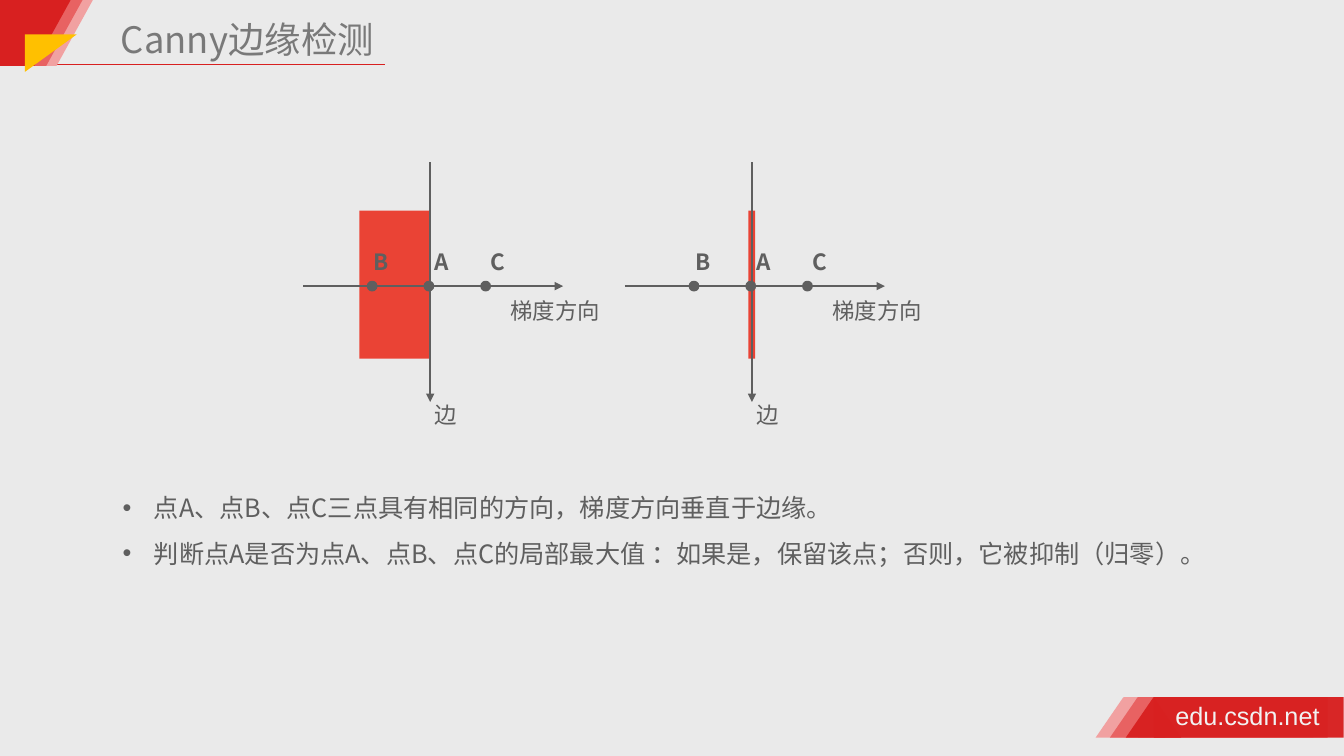
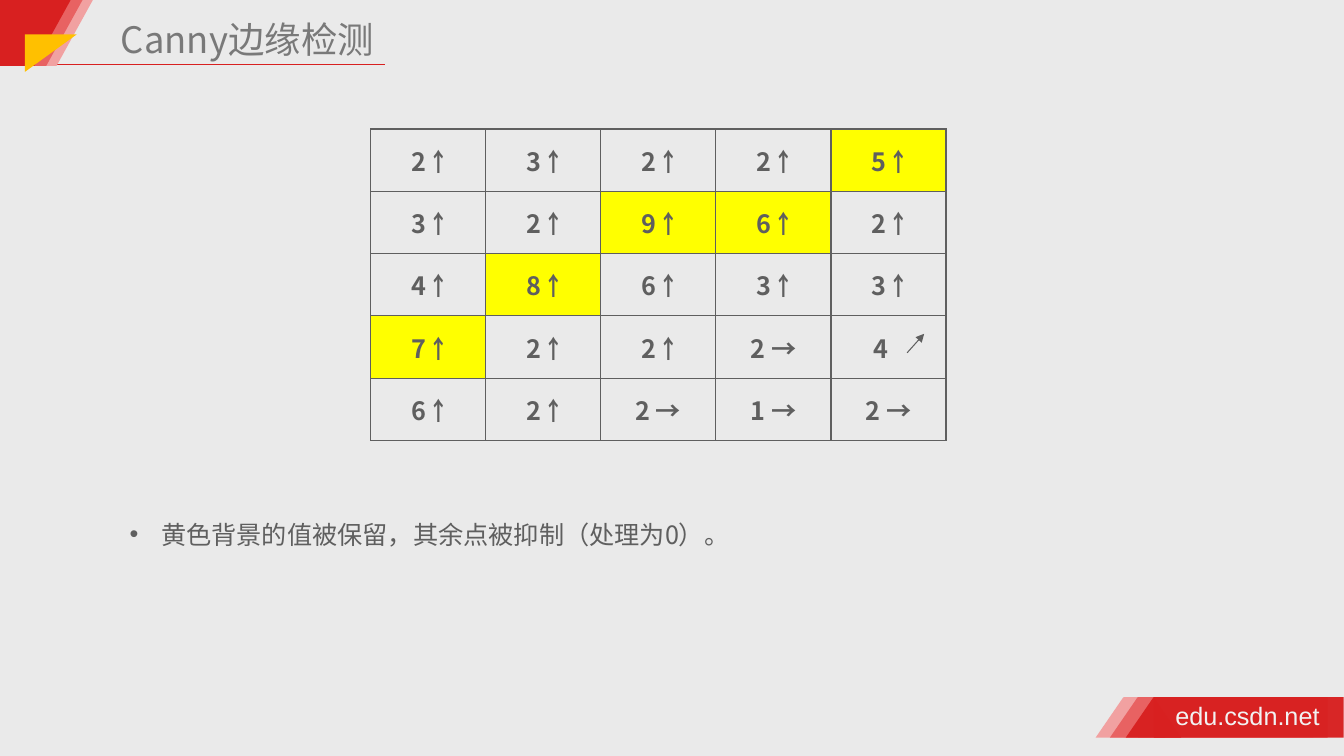
from dataclasses import dataclass

import pptx
import pptx.dml.color
import pptx.enum.shapes
import pptx.enum.text
import pptx.oxml
import pptx.oxml.ns
import pptx.oxml.xmlchemy
import pptx.util
from pptx.dml.color import RGBColor
from pptx.enum.shapes import MSO_CONNECTOR, MSO_SHAPE
from pptx.enum.text import MSO_ANCHOR, PP_ALIGN
from pptx.util import Cm

BACKGROUND = RGBColor(0xEA, 0xEA, 0xEA)
RED = RGBColor(0xD8, 0x20, 0x20)
MID_RED = RGBColor(0xE8, 0x62, 0x62)
PALE_RED = RGBColor(0xF1, 0xA1, 0xA1)
AMBER = RGBColor(0xFF, 0xC0, 0x00)
EDGE_RED = RGBColor(0xEA, 0x43, 0x35)
YELLOW = RGBColor(0xFF, 0xFF, 0x00)
TEXT = RGBColor(0x5F, 0x5F, 0x5F)
TITLE = RGBColor(0x79, 0x79, 0x79)
FOOTER = RGBColor(0xF2, 0xF2, 0xF2)

CJK = "Noto Sans CJK SC"
CJK_TABLE = "Noto Sans CJK JP"


@dataclass(frozen=True)
class Style:
    size: float
    color: RGBColor
    font: str = CJK
    bold: bool = False


@dataclass(frozen=True)
class Band:
    """A slanted stripe, drawn as a rectangle and a triangle."""
    corner_left: float
    footer_left: float
    color: RGBColor
    footer_alpha: int = 100


@dataclass(frozen=True)
class Label:
    text: str
    dx: float
    dy: float
    width: float
    bold: bool = False


@dataclass(frozen=True)
class Diagram:
    """Gradient axes crossing at (x, y), with an edge area beside them."""
    x: float
    y: float
    edge_dx: float
    edge_width: float


BANDS = (
    Band(0.51, 28.32, PALE_RED),
    Band(0.25, 28.68, MID_RED),
    Band(-0.05, 29.08, RED, 97),
)
LABELS = (
    Label("A", -0.13, -1.07, 0.94, True),
    Label("C", 1.27, -1.07, 0.89, True),
    Label("B", -1.68, -1.07, 0.91, True),
    Label("边", -0.13, 2.77, 1.08),
    Label("梯度方向", 1.78, 0.15, 2.79),
)
DIAGRAMS = (
    Diagram(10.84, 7.21, -1.78, 1.78),
    Diagram(18.95, 7.21, -0.09, 0.17),
)
DOT_GAP = 1.43
DOT_SIZE = 0.2

GRADIENTS = (
    ("2 ￪", "3 ￪", "2 ￪", "2 ￪", "5 ￪"),
    ("3 ￪", "2 ￪", "9 ￪", "6 ￪", "2 ￪"),
    ("4 ￪", "8 ￪", "6 ￪", "3 ￪", "3 ￪"),
    ("7 ￪", "2 ￪", "2 ￪", "2 →", "4"),
    ("6 ￪", "2 ￪", "2 →", "1 →", "2 →"),
)
KEPT = {(0, 4), (1, 2), (1, 3), (2, 1), (3, 0)}
DIAGONAL = (3, 4)
COL_WIDTH = 2.9
ROW_HEIGHT = 1.57


def add_child(parent, tag: str, **attrs: str):
    child = pptx.oxml.xmlchemy.OxmlElement(tag)
    for key, value in attrs.items():
        child.set(key, value)
    parent.append(child)
    return child


def add_run(p, text: str, style: Style) -> None:
    r = p.add_run()
    r.text = text
    r.font.size = pptx.util.Pt(style.size)
    r.font.name = style.font
    r.font.bold = style.bold
    r.font.color.rgb = style.color
    add_child(r.font._element, "a:ea", typeface=style.font)


def add_text_box(shapes, x: float, y: float, w: float, h: float,
                 inset: float | None = None, wrap: bool = False):
    tf = shapes.add_textbox(Cm(x), Cm(y), Cm(w), Cm(h)).text_frame
    tf.word_wrap = wrap
    if inset is not None:
        tf.margin_left = tf.margin_right = Cm(inset)
        tf.margin_top = tf.margin_bottom = Cm(inset)
    return tf


def add_solid(shapes, kind, x: float, y: float, w: float, h: float,
              color: RGBColor, alpha: int = 100):
    sp = shapes.add_shape(kind, Cm(x), Cm(y), Cm(w), Cm(h))
    sp.shadow.inherit = False
    sp.fill.solid()
    sp.fill.fore_color.rgb = color
    sp.line.fill.background()
    if alpha < 100:
        clr = sp._element.spPr.find(".//" + pptx.oxml.ns.qn("a:srgbClr"))
        add_child(clr, "a:alpha", val=str(alpha * 1000))
    return sp


def add_line(shapes, x1: float, y1: float, x2: float, y2: float,
             color: RGBColor, width: float = 1, arrow: bool = False) -> None:
    line = shapes.add_connector(MSO_CONNECTOR.STRAIGHT,
                                Cm(x1), Cm(y1), Cm(x2), Cm(y2))
    line.line.color.rgb = color
    line.line.width = pptx.util.Pt(width)
    if arrow:
        add_child(line.line._get_or_add_ln(), "a:tailEnd", type="triangle")
    add_child(line._element.spPr, "a:effectLst")


def add_base_slide(prs, title: str):
    """Add a slide with the shared background, bands, footer and title."""
    s = prs.slides.add_slide(prs.slide_layouts[6])
    s.background.fill.solid()
    s.background.fill.fore_color.rgb = BACKGROUND
    add_line(s.shapes, 1.24, 1.63, 9.7, 1.63, RED)

    for band in BANDS:
        add_solid(s.shapes, MSO_SHAPE.RECTANGLE, band.footer_left, 17.57,
                  4.78, 1.02, band.color, band.footer_alpha)
        add_solid(s.shapes, MSO_SHAPE.ISOSCELES_TRIANGLE,
                  band.footer_left - 0.71, 17.57, 1.4, 1.02,
                  band.color, band.footer_alpha)
        add_solid(s.shapes, MSO_SHAPE.RECTANGLE, band.corner_left + 0.02, 0,
                  0.89, 1.66, band.color)
        tip = add_solid(s.shapes, MSO_SHAPE.ISOSCELES_TRIANGLE,
                        band.corner_left, 0, 1.83, 1.66, band.color)
        tip.rotation = 180
    wedge = add_solid(s.shapes, MSO_SHAPE.RIGHT_TRIANGLE,
                      0.81, 0.69, 0.94, 1.3, AMBER)
    wedge.rotation = 90

    tf = add_text_box(s.shapes, 29.49, 17.53, 3.94, 1.02, inset=0.13)
    add_run(tf.paragraphs[0], "edu.csdn.net", Style(18, FOOTER, "Arial"))

    tf = add_text_box(s.shapes, 2.72, 0.15, 9.6, 1.42, inset=0.13, wrap=True)
    tf.margin_left = Cm(0.33)
    tf.vertical_anchor = MSO_ANCHOR.MIDDLE
    tf.paragraphs[0].line_spacing = 1.2
    add_run(tf.paragraphs[0], title, Style(26, TITLE))
    return s


def add_bullets(s, x: float, y: float, w: float, h: float,
                *items: str) -> None:
    tf = add_text_box(s.shapes, x, y, w, h, wrap=True)
    for i, item in enumerate(items):
        p = tf.add_paragraph() if i else tf.paragraphs[0]
        pPr = p._p.get_or_add_pPr()
        pPr.set("marL", str(Cm(0.79)))
        pPr.set("indent", str(-Cm(0.79)))
        add_child(pPr, "a:buFont", typeface="Arial")
        add_child(pPr, "a:buChar", char="•")
        p.line_spacing = 1.5
        add_run(p, item, Style(18, TEXT))


def add_diagram(s, d: Diagram) -> None:
    shapes = s.shapes.add_group_shape().shapes
    add_solid(shapes, MSO_SHAPE.RECTANGLE, d.x + d.edge_dx, d.y - 1.9,
              d.edge_width, 3.73, EDGE_RED)
    add_line(shapes, d.x - 3.2, d.y, d.x + 3.35, d.y, TEXT, arrow=True)
    for step in (1, 0, -1):
        dot = add_solid(shapes, MSO_SHAPE.OVAL,
                        d.x - 0.03 + step * DOT_GAP - DOT_SIZE / 2,
                        d.y - DOT_SIZE / 2, DOT_SIZE, DOT_SIZE, TEXT)
        dot.line.color.rgb = TEXT
        dot.line.width = pptx.util.Pt(2)
    add_line(shapes, d.x, d.y - 3.12, d.x, d.y + 2.92, TEXT, arrow=True)
    for label in LABELS:
        tf = add_text_box(shapes, d.x + label.dx, d.y + label.dy,
                          label.width, 0.94)
        add_run(tf.paragraphs[0], label.text,
                Style(16, TEXT, bold=label.bold))


def add_borders(cell) -> None:
    tcPr = cell._tc.get_or_add_tcPr()
    for side in ("L", "R", "T", "B"):
        ln = add_child(tcPr, f"a:ln{side}", w=str(pptx.util.Pt(1)))
        fill = add_child(ln, "a:solidFill")
        add_child(fill, "a:srgbClr", val=str(TEXT))


def add_gradient_table(s, x: float, y: float) -> None:
    rows, cols = len(GRADIENTS), len(GRADIENTS[0])
    table = s.shapes.add_table(rows, cols, Cm(x), Cm(y), Cm(cols * COL_WIDTH),
                               Cm(rows * ROW_HEIGHT)).table
    table.first_row = table.horz_banding = False
    for col in table.columns:
        col.width = Cm(COL_WIDTH)
    for i, values in enumerate(GRADIENTS):
        table.rows[i].height = Cm(ROW_HEIGHT)
        for j, value in enumerate(values):
            cell = table.cell(i, j)
            add_borders(cell)
            if (i, j) in KEPT:
                cell.fill.solid()
                cell.fill.fore_color.rgb = YELLOW
            else:
                cell.fill.background()
            cell.vertical_anchor = MSO_ANCHOR.MIDDLE
            if (i, j) == DIAGONAL:
                cell.margin_right = Cm(0.61)
            p = cell.text_frame.paragraphs[0]
            p.alignment = PP_ALIGN.CENTER
            add_run(p, value, Style(18, TEXT, CJK_TABLE, True))
    add_line(s.shapes, 22.86, 8.89, 23.29, 8.41, TEXT, 0.75, arrow=True)


def main() -> None:
    prs = pptx.Presentation()
    prs.slide_width, prs.slide_height = Cm(33.87), Cm(19.05)
    title = "Canny边缘检测"

    s = add_base_slide(prs, title)
    add_bullets(s, 2.84, 11.91, 31.03, 2.41,
                "点A、点B、点C三点具有相同的方向，梯度方向垂直于边缘。",
                "判断点A是否为点A、点B、点C的局部最大值 ："
                "如果是，保留该点；否则，它被抑制（归零）。")
    for diagram in DIAGRAMS:
        add_diagram(s, diagram)

    s = add_base_slide(prs, title)
    add_bullets(s, 3.02, 12.57, 19.71, 1.27,
                "黄色背景的值被保留，其余点被抑制（处理为0）。")
    add_gradient_table(s, 9.34, 3.25)

    prs.save("out.pptx")


if __name__ == "__main__":
    main()
